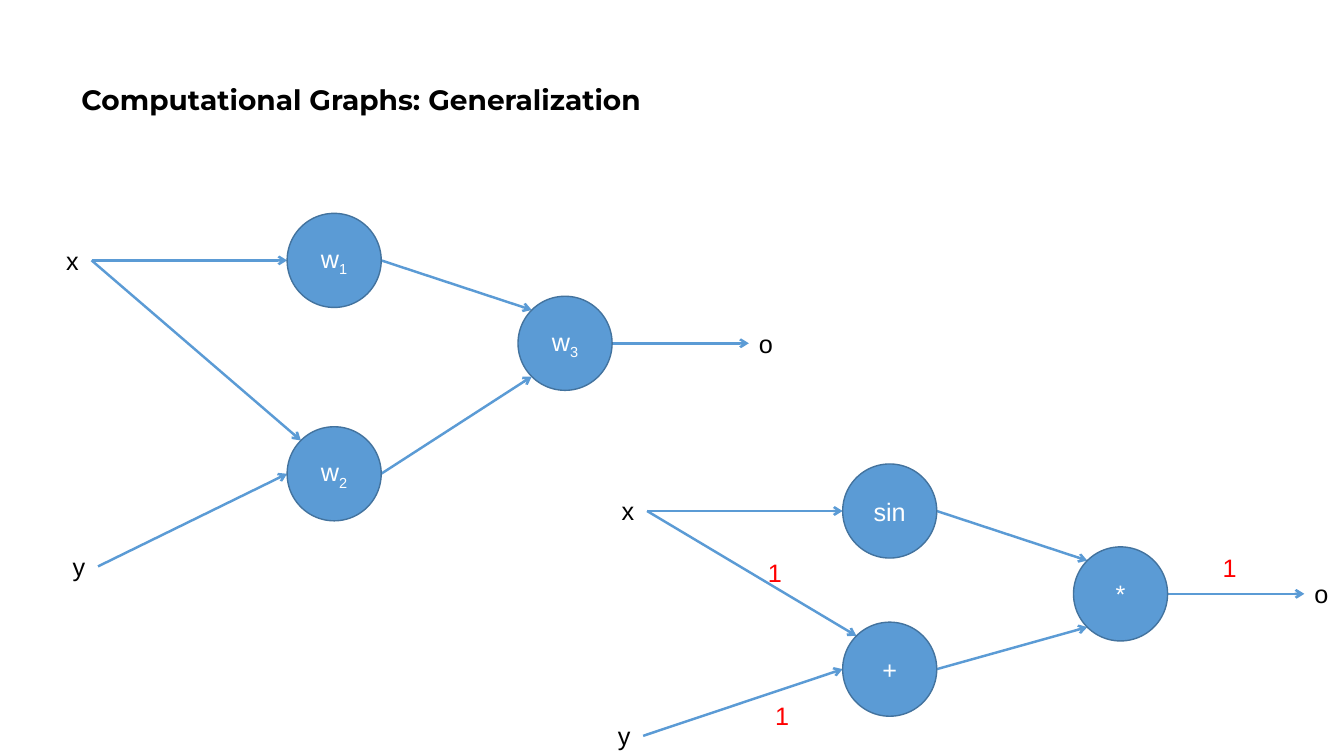
from math import sqrt

from lxml import etree
from pptx import Presentation
from pptx.dml.color import RGBColor
from pptx.enum.shapes import MSO_CONNECTOR, MSO_SHAPE
from pptx.enum.text import MSO_ANCHOR, MSO_AUTO_SIZE, PP_ALIGN
from pptx.oxml.ns import qn
from pptx.util import Pt

STRAIGHT = MSO_CONNECTOR.STRAIGHT
ELLIPSE = MSO_SHAPE.OVAL
MIDDLE = MSO_ANCHOR.MIDDLE
FIT_SHAPE = MSO_AUTO_SIZE.SHAPE_TO_FIT_TEXT
LEFT, CENTER = PP_ALIGN.LEFT, PP_ALIGN.CENTER

BLUE = RGBColor(0x5B, 0x9B, 0xD5)
DARK_BLUE = RGBColor(0x43, 0x73, 0x9E)
BLACK = RGBColor(0, 0, 0)
WHITE = RGBColor(255, 255, 255)
RED = RGBColor(255, 0, 0)

NODE = 67.2
RADIUS = NODE / 2
DIAGONAL = RADIUS / sqrt(2)
LABEL_WIDTH, LABEL_HEIGHT = 25.2, 28.8
COLUMN = 164.9
OUTPUT_DROP = 59.2


def write(para, text, size=18, font="Arial", color=BLACK, bold=False, subscript=False):
    span = para.add_run()
    span.text = text
    span.font.size = Pt(size)
    span.font.name = font
    span.font.bold = bold
    span.font.color.rgb = color
    if subscript:
        span._r.get_or_add_rPr().set("baseline", "-25000")


def add_title(page, text, left, top, width, height):
    title = page.shapes.title
    title.left, title.top = Pt(left), Pt(top)
    title.width, title.height = Pt(width), Pt(height)
    title.text_frame.vertical_anchor = MIDDLE
    para = title.text_frame.paragraphs[0]
    para.alignment = LEFT
    para.line_spacing = 0.9
    write(para, text, size=20, font="Montserrat", bold=True)


def add_label(page, text, left, top, color=BLACK):
    label = page.shapes.add_textbox(Pt(left), Pt(top), Pt(LABEL_WIDTH), Pt(LABEL_HEIGHT))
    label.text_frame.word_wrap = False
    label.text_frame.auto_size = FIT_SHAPE
    write(label.text_frame.paragraphs[0], text, color=color)
    return label


def add_node(page, name, index, left, top):
    node = page.shapes.add_shape(ELLIPSE, Pt(left), Pt(top), Pt(NODE), Pt(NODE))
    node.shadow.inherit = False
    node.fill.solid()
    node.fill.fore_color.rgb = BLUE
    node.line.color.rgb = DARK_BLUE
    node.line.width = Pt(1)
    node.text_frame.vertical_anchor = MIDDLE
    para = node.text_frame.paragraphs[0]
    para.alignment = CENTER
    write(para, name, color=WHITE)
    if index:
        write(para, index, color=WHITE, subscript=True)


def add_arrow(page, start, end, source=None, target=None):
    arrow = page.shapes.add_connector(STRAIGHT, *(Pt(value) for value in (*start, *end)))
    arrow.line.color.rgb = BLUE
    arrow.line.width = Pt(1.75)
    etree.SubElement(arrow.line._get_or_add_ln(), qn("a:tailEnd"), type="arrow")
    etree.SubElement(arrow._element.spPr, qn("a:effectLst"))
    if source is not None:
        arrow.begin_connect(source, 3)
    if target is not None:
        arrow.end_connect(target, 1)


def add_graph(page, left, top, lower_drop, y_shift, y_drop, nodes, weights=()):
    inner, outer = left + COLUMN, left + 2 * COLUMN
    upper_middle = top + RADIUS
    lower_middle = upper_middle + lower_drop
    output_middle = upper_middle + OUTPUT_DROP
    half_label = LABEL_HEIGHT / 2

    x_label = add_label(page, "x", left, upper_middle - half_label)
    y_label = add_label(page, "y", left + y_shift, top + y_drop)
    o_label = add_label(page, "o", left + 3 * COLUMN, output_middle - half_label)

    x_end = (left + LABEL_WIDTH, upper_middle)
    y_end = (left + y_shift + LABEL_WIDTH, top + y_drop + half_label)
    lower_corner = (inner + RADIUS - DIAGONAL, lower_middle - DIAGONAL)
    add_arrow(page, x_end, (inner, upper_middle), source=x_label)
    add_arrow(page, x_end, lower_corner, source=x_label)
    add_arrow(page, y_end, (inner, lower_middle), source=y_label)

    output_corner = outer + RADIUS - DIAGONAL
    for middle, side in ((upper_middle, -1), (lower_middle, 1)):
        add_arrow(page, (inner + NODE, middle), (output_corner, output_middle + side * DIAGONAL))
    add_arrow(page, (outer + NODE, output_middle), (left + 3 * COLUMN, output_middle), target=o_label)

    places = ((inner, top), (inner, top + lower_drop), (outer, top + OUTPUT_DROP))
    for (name, index), place in zip(nodes, places):
        add_node(page, name, index, *place)
    for text, across, down in weights:
        add_label(page, text, left + across, top + down, color=RED)


def main():
    deck = Presentation()
    deck.slide_width, deck.slide_height = Pt(960), Pt(540)
    page = deck.slides.add_slide(deck.slide_layouts[5])
    add_title(page, "Computational Graphs: Generalization", 51, 20.2, 828, 104.4)
    add_graph(page, 40.2, 152.4, lower_drop=152.4, y_shift=4.6, y_drop=237.8,
              nodes=(("w", "1"), ("w", "2"), ("w", "3")))
    add_graph(page, 437, 331.4, lower_drop=113, y_shift=-2.8, y_drop=179.8,
              nodes=(("sin", ""), ("+", ""), ("*", "")),
              weights=(("1", 109.5, 165.4), ("1", 104.4, 63.2), ("1", 429.2, 59.6)))
    deck.save("out.pptx")


if __name__ == "__main__":
    main()
